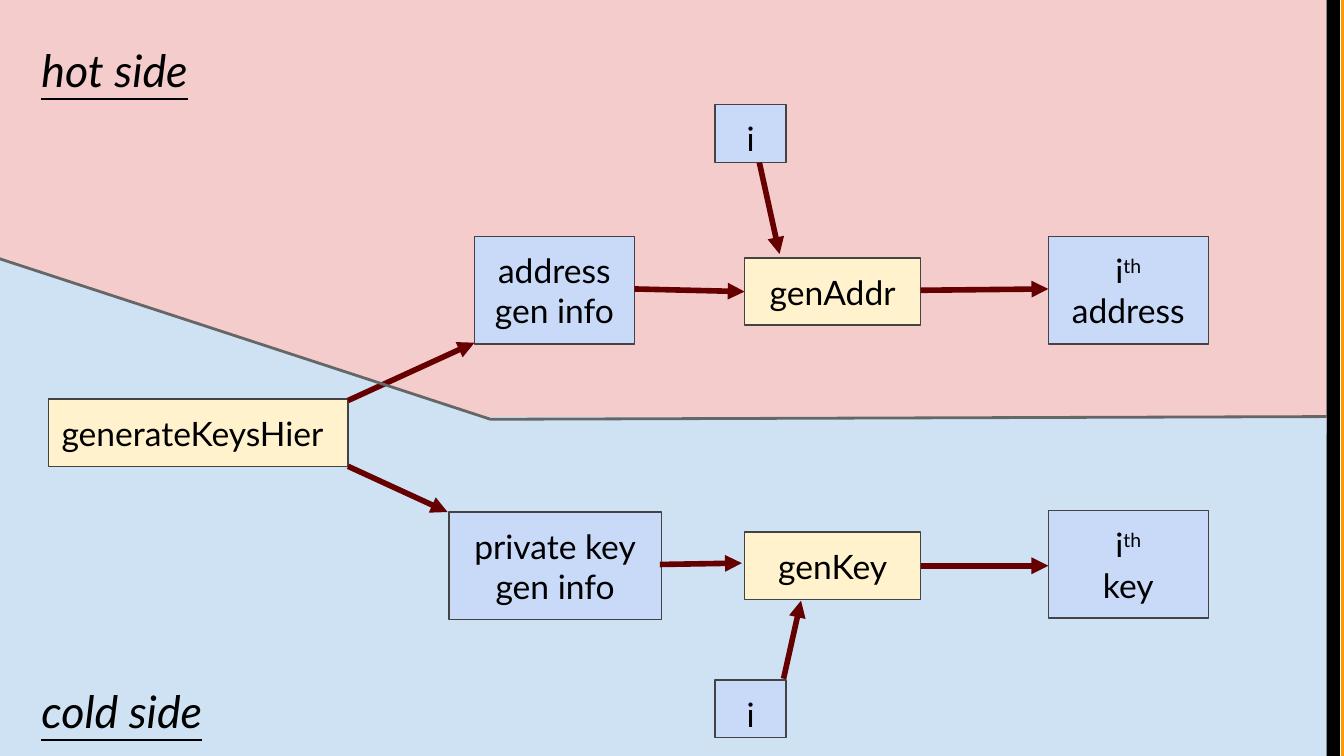
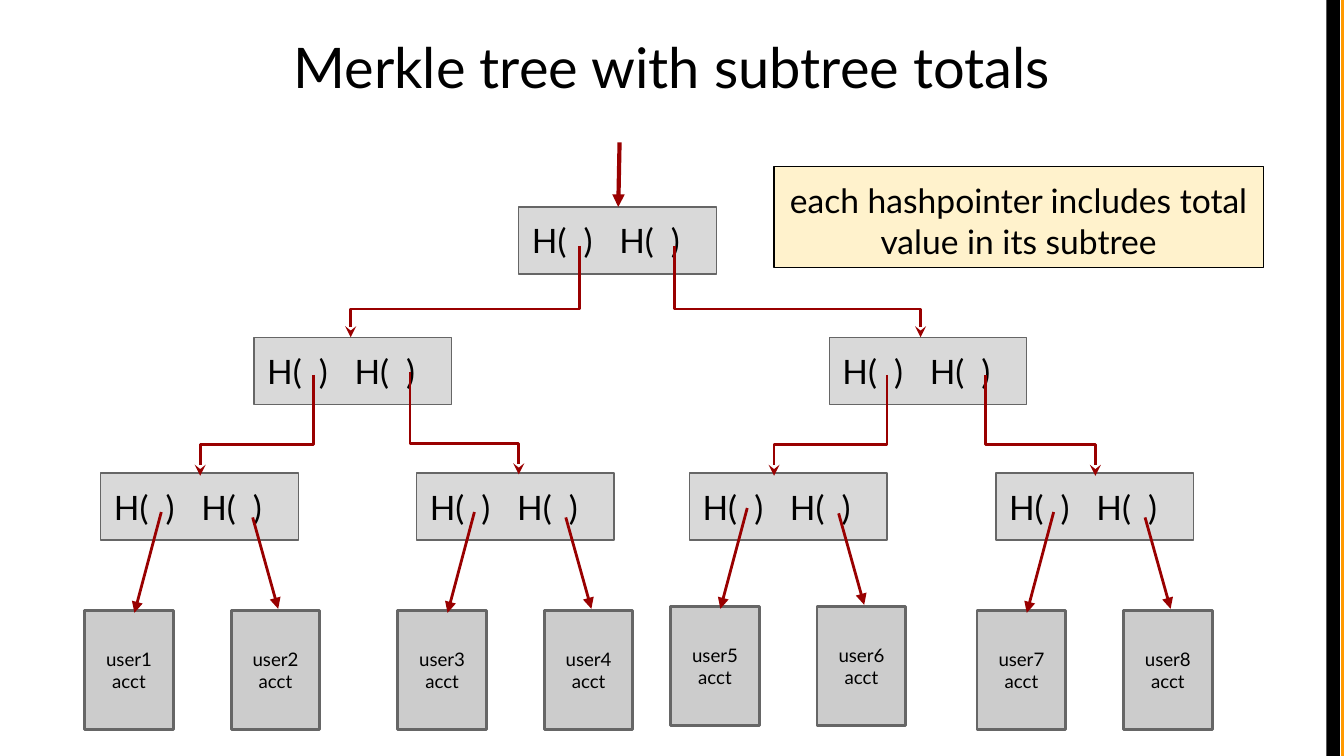
"""Build two slides: hierarchical key generation and a Merkle tree with subtree totals."""
from lxml.etree import SubElement
from pptx import Presentation
from pptx.dml.color import RGBColor
from pptx.enum.shapes import MSO_CONNECTOR, MSO_SHAPE
from pptx.enum.text import MSO_ANCHOR, MSO_AUTO_SIZE, PP_ALIGN
from pptx.oxml.ns import qn
from pptx.util import Inches, Pt

COLORS = {
    "black": "000000", "orange": "FF9900", "hot": "F4CCCC", "cold": "CFE2F3",
    "function": "FFF2CC", "data": "C9DAF8", "outline": "434343", "gray": "666666",
    "flow": "660000", "pointer": "990000", "hash": "D9D9D9", "account": "CCCCCC",
}
FONT = "Lato"
SLIDE_WIDTH = 10
SLIDE_HEIGHT = SLIDE_WIDTH * 9 / 16
FRAME = {"word_wrap": True, "auto_size": MSO_AUTO_SIZE.NONE,
         "margin_left": Inches(0.1), "margin_right": Inches(0.1),
         "margin_top": Inches(0.1), "margin_bottom": Inches(0.1)}

BANDS = [(9.98, "orange"), (9.87, "black")]
BAND_WIDTH = 0.1

REGIONS = [
    (MSO_SHAPE.RECTANGLE, (0, 0, 9.87, 3.23), "hot"),
    (MSO_SHAPE.RIGHT_TRIANGLE, (0, 1.92, 3.68, 1.2), "cold"),
    (MSO_SHAPE.RECTANGLE, (0, 3.1, 9.87, SLIDE_HEIGHT - 3.1), "cold"),
]
BORDER = [(9.87, 3.1), (3.65, 3.12), (-0.02, 1.92)]
SIDE_LABELS = [("hot side", (0.21, 0.22, 1.41, 0.5)), ("cold side", (0.21, 4.99, 1.66, 0.5))]
ITH = [("i", {}), ("th", {"baseline": "30000"})]
KEY_BOXES = [
    (["generateKeysHier"], (0.36, 2.97, 2.23, 0.5), "function", PP_ALIGN.LEFT),
    (["address", "gen info"], (3.53, 1.76, 1.19, 0.8), "data", PP_ALIGN.CENTER),
    (["private key", "gen info"], (3.34, 3.81, 1.58, 0.8), "data", PP_ALIGN.CENTER),
    (["genAddr"], (5.54, 1.92, 1.31, 0.5), "function", PP_ALIGN.CENTER),
    (["genKey"], (5.54, 3.96, 1.31, 0.5), "function", PP_ALIGN.CENTER),
    (["i"], (5.32, 0.78, 0.53, 0.43), "data", PP_ALIGN.CENTER),
    ([ITH, "address"], (7.8, 1.76, 1.19, 0.8), "data", PP_ALIGN.CENTER),
    ([ITH, "key"], (7.8, 3.8, 1.19, 0.8), "data", PP_ALIGN.CENTER),
    (["i"], (5.32, 5.06, 0.53, 0.43), "data", PP_ALIGN.CENTER),
]
KEY_ARROWS = [
    ((2.59, 2.98), (3.53, 2.55)), ((2.59, 3.47), (3.33, 3.81)),
    ((4.72, 2.15), (5.54, 2.17)), ((4.91, 4.2), (5.52, 4.19)),
    ((5.65, 1.21), (5.8, 1.89)), ((6.85, 2.16), (7.8, 2.15)),
    ((6.85, 4.21), (7.8, 4.21)), ((5.83, 5.05), (5.96, 4.47)),
]

TREE_TITLE = "Merkle tree with subtree totals"
TREE_NOTE = "each hashpointer includes total value in its subtree"
HASH_SLOT = [("H(", {}), (" ", {"spc": "450"}), (")", {})]
HASH_PAIR = HASH_SLOT + [("\t", {})] + HASH_SLOT
HASH_TAB = 0.65
HASH_SIZE = (1.47, 0.5)
HASH_LEVELS = [(1.54, [3.86]), (2.51, [1.89, 6.17]), (3.52, [0.75, 3.1, 5.13, 7.41])]
ELBOWS = [
    ((4.31, 1.83), 2.3, (2.61, 2.51)), ((5.02, 1.83), 2.3, (6.85, 2.51)),
    ((2.33, 2.79), 3.31, (1.49, 3.54)), ((3.05, 2.77), 3.3, (3.86, 3.53)),
    ((6.6, 2.79), 3.31, (5.76, 3.54)), ((7.33, 2.79), 3.31, (8.15, 3.54)),
]
ACCOUNT_PAIRS = [(0.63, 4.54), (2.96, 4.54), (4.99, 4.51), (7.27, 4.54)]
ACCOUNT_SIZE = (0.66, 0.89)
ACCOUNT_STEP = 1.09
ACCOUNT_ARROWS = [((0.57, -0.73), (0.37, 0.02)), ((1.25, -0.69), (1.44, -0.01))]


def assign(target, values):
    for name, value in values.items():
        setattr(target, name, value)


def rgb(color):
    return RGBColor.from_string(COLORS[color])


def inches(values):
    return [Inches(value) for value in values]


def write(shape, paragraphs, size, align=PP_ALIGN.LEFT, anchor=MSO_ANCHOR.TOP, tab=None, **style):
    frame = shape.text_frame
    assign(frame, {**FRAME, "vertical_anchor": anchor})
    for index, content in enumerate(paragraphs):
        paragraph = frame.add_paragraph() if index else frame.paragraphs[0]
        paragraph.alignment = align
        if tab:
            tabs = SubElement(paragraph._p.get_or_add_pPr(), qn("a:tabLst"))
            SubElement(tabs, qn("a:tab"), pos=str(Inches(tab)), algn="l")
        for text, attributes in [(content, {})] if isinstance(content, str) else content:
            run = paragraph.add_run()
            run.text = text
            assign(run.font, {"name": FONT, "size": Pt(size), **style})
            run.font.color.rgb = rgb("black")
            for name, value in attributes.items():
                run._r.get_or_add_rPr().set(name, value)


def stroke(shape, color, width, head=None):
    shape.line.color.rgb = rgb(color)
    shape.line.width = Pt(width)
    if head:
        SubElement(shape._element.spPr.find(qn("a:ln")), qn("a:tailEnd"), type=head)


def add_box(shapes, area, fill, line=None, width=0.75, preset=MSO_SHAPE.RECTANGLE):
    shape = shapes.add_shape(preset, *inches(area))
    shape.shadow.inherit = False
    shape.fill.solid()
    shape.fill.fore_color.rgb = rgb(fill)
    if line:
        stroke(shape, line, width)
    else:
        shape.line.fill.background()
    return shape


def add_arrow(shapes, start, end, color, width):
    connector = shapes.add_connector(MSO_CONNECTOR.STRAIGHT, *inches(start + end))
    stroke(connector, color, width, "triangle")
    SubElement(connector._element.spPr, qn("a:effectLst"))


def add_outline(shapes, points, color, head=None):
    start, *others = [inches(point) for point in points]
    builder = shapes.build_freeform(*start)
    builder.add_line_segments(others, close=False)
    shape = builder.convert_to_shape()
    shape.shadow.inherit = False
    shape.fill.background()
    stroke(shape, color, 1.5, head)


def add_master_bands(presentation, slide):
    for left, color in BANDS:
        band = add_box(slide.shapes, (left, 0, BAND_WIDTH, SLIDE_HEIGHT), color)
        presentation.slide_master.shapes._spTree.append(band._element)


def build_key_slide(slide):
    shapes = slide.shapes
    for preset, area, fill in REGIONS:
        add_box(shapes, area, fill, preset=preset)
    for paragraphs, area, fill, align in KEY_BOXES:
        write(add_box(shapes, area, fill, "outline"), paragraphs, 18, align)
    for start, end in KEY_ARROWS:
        add_arrow(shapes, start, end, "flow", 3)
    add_outline(shapes, BORDER, "gray")
    for text, area in SIDE_LABELS:
        write(shapes.add_textbox(*inches(area)), [text], 24, italic=True, underline=True)


def add_account_pair(slide, number, left, top):
    shapes = slide.shapes.add_group_shape().shapes
    for index, (start, end) in enumerate(ACCOUNT_ARROWS):
        area = (left + index * ACCOUNT_STEP, top, *ACCOUNT_SIZE)
        account = add_box(shapes, area, "account", "gray", 1.5)
        write(account, [f"user{number + index}", "acct"], 10, PP_ALIGN.CENTER, MSO_ANCHOR.MIDDLE)
        start, end = [(left + x, top + y) for x, y in (start, end)]
        add_arrow(shapes, start, end, "pointer", 1.5)


def build_tree_slide(slide):
    shapes = slide.shapes
    title = shapes.title
    assign(title, dict(zip(("left", "top", "width", "height"), inches((0.5, 0.14, 9, 0.75)))))
    write(title, [TREE_TITLE], 30, PP_ALIGN.CENTER)
    for top, lefts in HASH_LEVELS:
        for left in lefts:
            node = add_box(shapes, (left, top, *HASH_SIZE), "hash", "gray")
            write(node, [HASH_PAIR], 18, tab=HASH_TAB)
    for start, bend, end in ELBOWS:
        points = [start, (start[0], bend), (end[0], bend), end]
        add_outline(shapes, points, "pointer", "stealth")
    for index, (left, top) in enumerate(ACCOUNT_PAIRS):
        add_account_pair(slide, 2 * index + 1, left, top)
    add_arrow(shapes, (4.61, 1.06), (4.6, 1.54), "pointer", 2.25)
    note = add_box(shapes, (5.76, 1.24, 3.64, 0.75), "function", "black")
    write(note, [TREE_NOTE], 18, PP_ALIGN.CENTER)


def main():
    presentation = Presentation()
    presentation.slide_width = Inches(SLIDE_WIDTH)
    presentation.slide_height = Inches(SLIDE_HEIGHT)
    title_only, blank = presentation.slide_layouts[5], presentation.slide_layouts[6]
    key_slide = presentation.slides.add_slide(blank)
    add_master_bands(presentation, key_slide)
    build_key_slide(key_slide)
    build_tree_slide(presentation.slides.add_slide(title_only))
    presentation.save("out.pptx")


if __name__ == "__main__":
    main()
